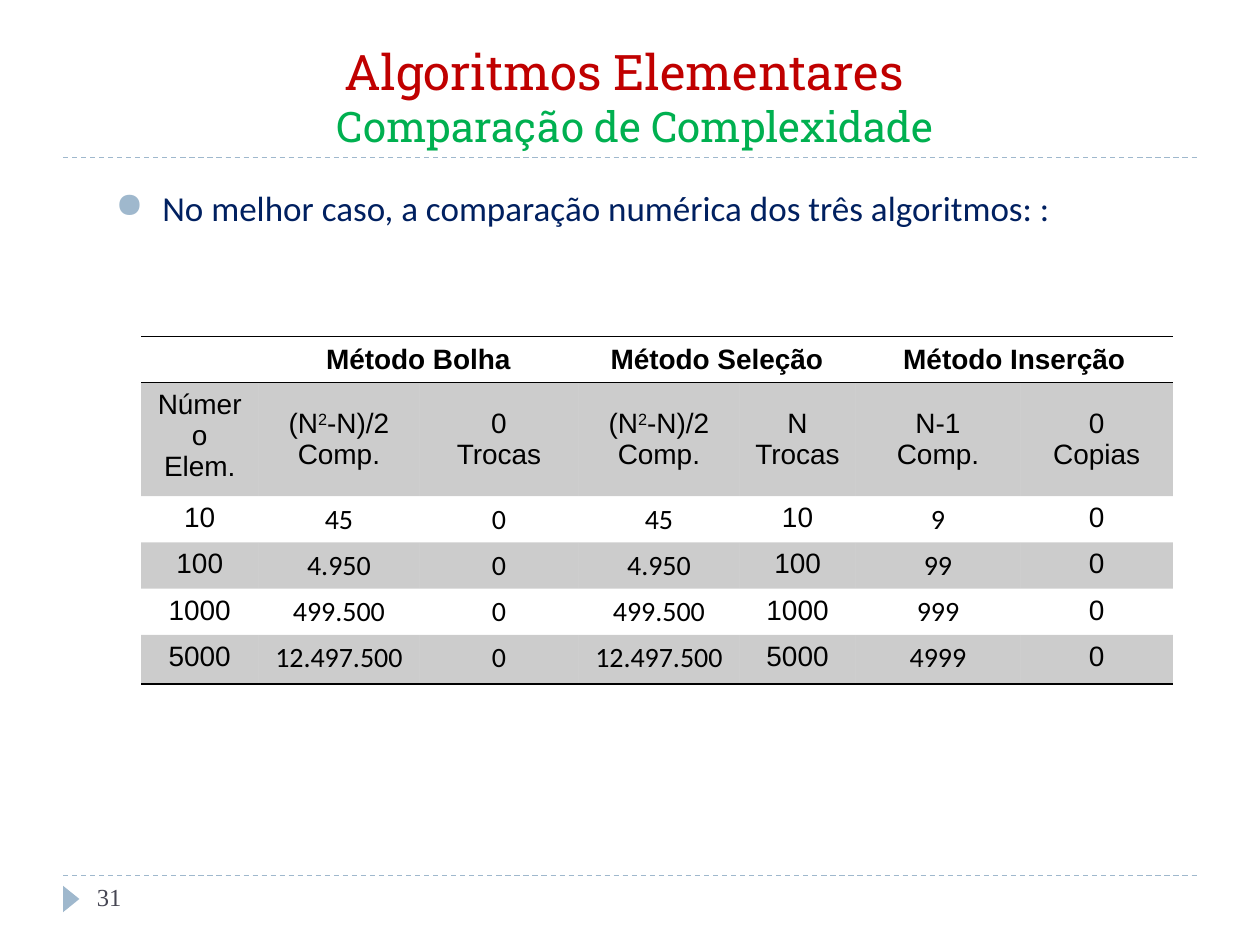
"""Build the slide comparing the best-case cost of three elementary sorting algorithms."""
from copy import deepcopy
from dataclasses import dataclass

from lxml import etree
from pptx import Presentation
from pptx.dml.color import RGBColor
from pptx.enum import dml, shapes, text
from pptx.oxml import ns
from pptx.util import Inches, Pt


@dataclass(frozen=True)
class Style:
    """Font, size, colour and weight of a run."""
    font: str
    size: int
    color: str
    bold: bool = False


@dataclass(frozen=True)
class Theme:
    """Colours and text styles of the slide."""
    accent: str = "9FB8CD"
    ink: str = "000000"
    band_alpha: int = 20
    title: Style = Style("Roboto Slab", 28, "C00000")
    subtitle: Style = Style("Roboto Slab", 24, "00B050")
    body: Style = Style("Calibri", 20, "002060")
    number: Style = Style("Times New Roman", 14, "464653")
    head: Style = Style("Arial", 16, "000000", True)
    label: Style = Style("Arial", 16, "000000")
    value: Style = Style("Calibri", 16, "000000")


@dataclass(frozen=True)
class Method:
    """A sorting method and the headings of its two columns."""
    name: str
    columns: tuple[str, str]


THEME = Theme()
RULES = (6.95, 1.25)
METHODS = (
    Method("Método Bolha", ("(N²-N)/2\nComp.", "0\nTrocas")),
    Method("Método Seleção", ("(N²-N)/2\nComp.", "N\nTrocas")),
    Method("Método Inserção", ("N-1\nComp.", "0\nCopias")),
)
DATA = (
    ("10", "45", "0", "45", "10", "9", "0"),
    ("100", "4.950", "0", "4.950", "100", "99", "0"),
    ("1000", "499.500", "0", "499.500", "1000", "999", "0"),
    ("5000", "12.497.500", "0", "12.497.500", "5000", "4999", "0"),
)
VALUE_COLUMNS = (1, 2, 3, 5)
COL_WIDTHS = (0.93, 1.28, 1.26, 1.28, 0.92, 1.31, 1.21)
ROW_HEIGHTS = (0.35, 0.61, 0.36, 0.36, 0.36, 0.39)
NO_GRID = "{2D5ABB26-0587-4C30-8999-92F81FD0307C}"


def rgb(color: str) -> RGBColor:
    """Return a colour object for a hex string."""
    return RGBColor.from_string(color)


def sub(parent, tag: str, **attrs: str):
    """Append a DrawingML child element."""
    return etree.SubElement(parent, ns.qn(f"a:{tag}"), attrs)


def format_run(r, style: Style) -> None:
    """Apply a style to a run."""
    r.font.name, r.font.size, r.font.bold = style.font, Pt(style.size), style.bold
    r.font.color.rgb = rgb(style.color)


def add_rule(slide, y: float) -> None:
    """Draw a dashed rule across the slide."""
    line = slide.shapes.add_connector(
        shapes.MSO_CONNECTOR.STRAIGHT, Inches(0.5), Inches(y), Inches(9.5), Inches(y))
    line.line.color.rgb = rgb(THEME.accent)
    line.line.width = Pt(0.75)
    line.line.dash_style = dml.MSO_LINE.DASH
    sub(line._element.spPr, "effectLst")


def add_marker(slide) -> None:
    """Draw the triangle beside the page number."""
    sp = slide.shapes.add_shape(shapes.MSO_SHAPE.ISOSCELES_TRIANGLE, Inches(0.46),
                                Inches(7.07), Inches(0.21), Inches(0.13))
    sp.rotation = 90
    sp.shadow.inherit = False
    sp.fill.solid()
    sp.fill.fore_color.rgb = rgb(THEME.accent)
    sp.line.fill.background()


def set_title(slide) -> None:
    """Fill and place the two-line title."""
    sp = slide.shapes.title
    sp.left, sp.top, sp.width, sp.height = (Inches(v) for v in (0.5, 0.25, 9, 1))
    tf = sp.text_frame
    tf.auto_size = text.MSO_AUTO_SIZE.NONE
    tf.vertical_anchor = text.MSO_ANCHOR.BOTTOM
    p = tf.paragraphs[0]
    p.text = "Algoritmos Elementares \v Comparação de Complexidade"
    p.alignment = text.PP_ALIGN.CENTER
    for r, style in zip(p.runs, (THEME.title, THEME.subtitle)):
        format_run(r, style)
    p._p.find(ns.qn("a:br")).append(deepcopy(p.runs[0]._r.rPr))


def add_text(slide, box: tuple[float, ...], words: str, style: Style):
    """Add a one-paragraph text box and return its paragraph."""
    tf = slide.shapes.add_textbox(*(Inches(v) for v in box)).text_frame
    tf.word_wrap = True
    p = tf.paragraphs[0]
    p.text = words
    format_run(p.runs[0], style)
    return p


def add_bullet(p) -> None:
    """Justify a paragraph and give it a hanging round bullet."""
    p.alignment = text.PP_ALIGN.JUSTIFY
    pPr = p._p.get_or_add_pPr()
    pPr.set("marL", str(Inches(0.37)))
    pPr.set("indent", str(Inches(-0.37)))
    sub(sub(pPr, "buClr"), "srgbClr", val=THEME.accent)
    sub(pPr, "buChar", char="●")


def write_cell(cell, words: str, style: Style) -> None:
    """Write centred lines in a cell, raising each ² to a superscript."""
    cell.text_frame.text = words
    for p, line in zip(cell.text_frame.paragraphs, words.split("\n")):
        p.alignment = text.PP_ALIGN.CENTER
        before, square, after = line.partition("²")
        p.text = before
        if square:
            p.add_run().text = "2"
            p.runs[1].font._element.set("baseline", "30000")
            p.add_run().text = after
        for r in p.runs:
            format_run(r, style)
        if not line:
            sub(p._p, "endParaRPr", sz=str(style.size * 100))


def format_cell(cell, sides: str, banded: bool) -> None:
    """Draw borders on the given sides and fill banded cells."""
    tcPr = cell._tc.get_or_add_tcPr()
    for side in sides:
        ln = sub(tcPr, f"ln{side}", w=str(Pt(1)))
        sub(sub(ln, "solidFill"), "srgbClr", val=THEME.ink)
    if banded:
        clr = sub(sub(tcPr, "solidFill"), "srgbClr", val=THEME.ink)
        sub(clr, "alpha", val=str(THEME.band_alpha * 1000))
    else:
        cell.fill.background()


def add_comparison(slide) -> None:
    """Add the table of comparisons and exchanges."""
    names = [""] + [words for m in METHODS for words in (m.name, "")]
    labels = ["Número Elem."] + [words for m in METHODS for words in m.columns]
    rows = (names, labels, *DATA)
    table = slide.shapes.add_table(
        len(rows), len(COL_WIDTHS), Inches(1.12), Inches(2.67),
        Inches(sum(COL_WIDTHS)), Inches(sum(ROW_HEIGHTS))).table
    table._tbl.tblPr.find(ns.qn("a:tableStyleId")).text = NO_GRID
    for column, width in zip(table.columns, COL_WIDTHS):
        column.width = Inches(width)
    for row, height in zip(table.rows, ROW_HEIGHTS):
        row.height = Inches(height)
    borders = {0: "TB", len(rows) - 1: "B"}
    for i, row in enumerate(rows):
        for j, words in enumerate(row):
            cell = table.cell(i, j)
            is_value = i > 1 and j in VALUE_COLUMNS
            style = THEME.head if i == 0 else THEME.value if is_value else THEME.label
            write_cell(cell, words, style)
            if i < 2 and j:
                cell.vertical_anchor = text.MSO_ANCHOR.MIDDLE
            format_cell(cell, borders.get(i, ""), i % 2 == 1)
    for j in range(1, len(COL_WIDTHS), 2):
        table.cell(0, j).merge(table.cell(0, j + 1))


def main() -> None:
    """Build and save the slide."""
    prs = Presentation()
    prs.slide_width, prs.slide_height = Inches(10), Inches(7.5)
    slide = prs.slides.add_slide(prs.slide_layouts[5])
    for y in RULES:
        add_rule(slide, y)
    add_marker(slide)
    set_title(slide)
    add_bullet(add_text(slide, (0.82, 1.43, 8.5, 0.46),
                        "No melhor caso, a comparação numérica dos três algoritmos: :", THEME.body))
    add_text(slide, (0.67, 6.95, 2.17, 0.4), "31", THEME.number)
    add_comparison(slide)
    prs.save("out.pptx")


if __name__ == "__main__":
    main()
